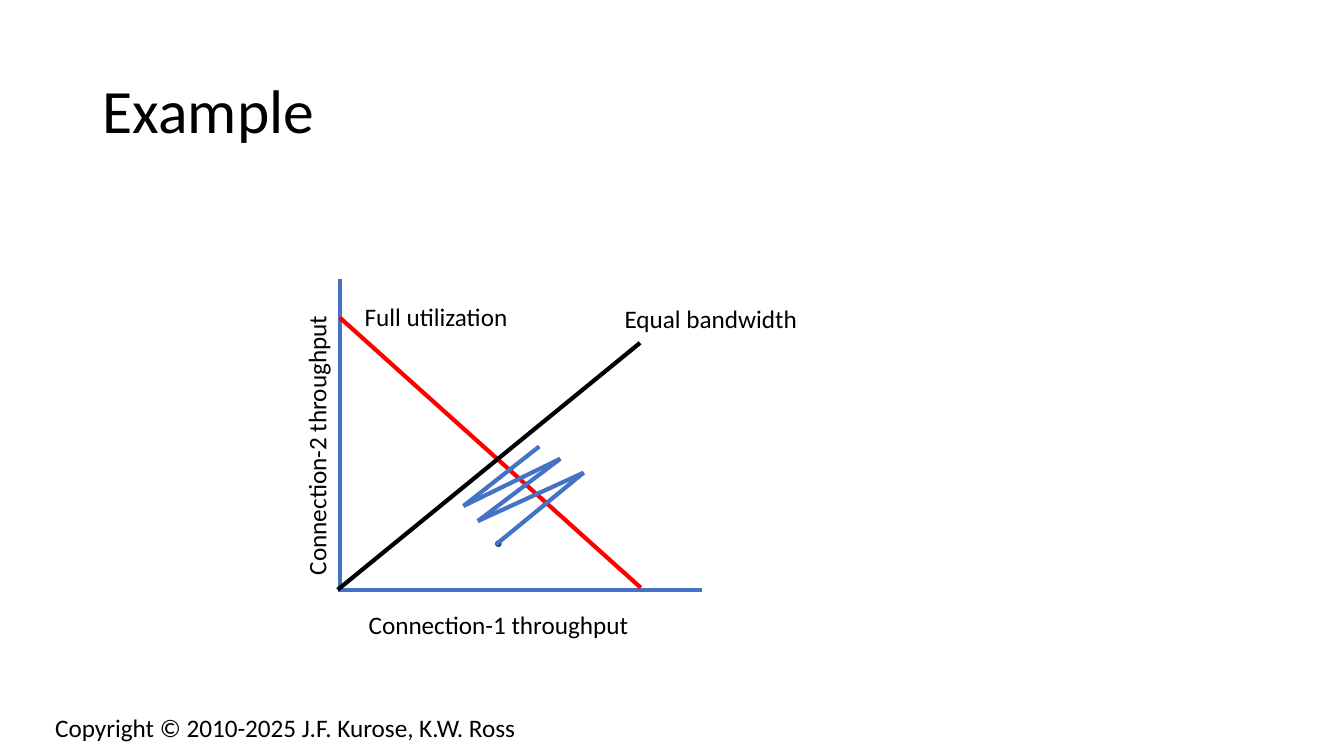
from dataclasses import dataclass
from itertools import pairwise

import pptx
import pptx.dml.color
import pptx.enum.shapes
import pptx.enum.text
import pptx.oxml
import pptx.oxml.ns
import pptx.slide
import pptx.util

Cm = pptx.util.Cm
Color = pptx.dml.color.RGBColor
Anchor = pptx.enum.text.MSO_ANCHOR
Point = tuple[float, float]


@dataclass(frozen=True)
class Theme:
    font: str = "Calibri"
    title_size: float = 44
    label_size: float = 18
    line_width: float = 3
    outline_width: float = 1
    black: Color = Color(0x00, 0x00, 0x00)
    blue: Color = Color(0x44, 0x72, 0xC4)
    navy: Color = Color(0x1E, 0x32, 0x56)
    red: Color = Color(0xFF, 0x00, 0x00)


THEME = Theme()


@dataclass(frozen=True)
class Label:
    text: str
    left: float
    top: float
    width: float
    height: float = 1.02
    size: float = THEME.label_size
    anchor: Anchor = Anchor.TOP
    line_spacing: float = 1.0
    vertical: bool = False


@dataclass(frozen=True)
class Line:
    start: Point
    end: Point
    color: Color


TITLE = Label("Example", 2.34, 1.02, 29.21, 3.68, THEME.title_size, Anchor.MIDDLE, 0.9)
AXIS_LABELS = [
    Label("Connection-1 throughput", 9.04, 15.24, 7.09),
    Label("Connection-2 throughput", 7.21, 7.21, 1.27, 7.54, anchor=Anchor.BOTTOM, vertical=True),
]
LINE_LABELS = [
    Label("Equal bandwidth", 15.49, 7.52, 6.68),
    Label("Full utilization", 8.94, 7.47, 6.68),
]
COPYRIGHT = Label("Copyright © 2010-2025 J.F. Kurose, K.W. Ross", 1.14, 17.83, 12.45)

ORIGIN = (8.51, 14.86)
AXES = [
    Line((8.56, 7.04), (8.56, 14.81), THEME.blue),
    Line(ORIGIN, (17.68, 14.86), THEME.blue),
]
FULL_UTILIZATION = Line((8.56, 8.0), (16.15, 14.81), THEME.red)
EQUAL_BANDWIDTH = Line(ORIGIN, (16.13, 8.64), THEME.black)
TRAJECTORY = [
    (12.5, 13.72), (14.71, 11.91), (12.04, 13.13),
    (14.12, 11.56), (11.68, 12.75), (13.59, 11.25),
]
START_DOT_CENTER = (12.56, 13.7)
START_DOT_SIZE = 0.13


def add_label(slide: pptx.slide.Slide, label: Label) -> None:
    shape = slide.shapes.add_textbox(
        Cm(label.left), Cm(label.top), Cm(label.width), Cm(label.height)
    )
    frame = shape.text_frame
    frame.word_wrap = True
    frame.vertical_anchor = label.anchor
    if label.vertical:
        shape.element.find(".//" + pptx.oxml.ns.qn("a:bodyPr")).set("vert", "vert270")
    paragraph = frame.paragraphs[0]
    paragraph.line_spacing = label.line_spacing
    run = paragraph.add_run()
    run.text = label.text
    run.font.name = THEME.font
    run.font.size = pptx.util.Pt(label.size)
    run.font.color.rgb = THEME.black


def add_line(slide: pptx.slide.Slide, line: Line) -> None:
    connector = slide.shapes.add_connector(
        pptx.enum.shapes.MSO_CONNECTOR.STRAIGHT,
        *(Cm(value) for value in line.start + line.end),
    )
    connector.line.color.rgb = line.color
    connector.line.width = pptx.util.Pt(THEME.line_width)
    properties = connector.element.find(pptx.oxml.ns.qn("p:spPr"))
    properties.append(pptx.oxml.parse_xml(f"<a:effectLst {pptx.oxml.ns.nsdecls('a')}/>"))


def add_dot(slide: pptx.slide.Slide, center: Point, size: float) -> None:
    left, top = (Cm(value - size / 2) for value in center)
    shape = slide.shapes.add_shape(
        pptx.enum.shapes.MSO_SHAPE.OVAL, left, top, Cm(size), Cm(size)
    )
    shape.shadow.inherit = False
    shape.fill.solid()
    shape.fill.fore_color.rgb = THEME.blue
    shape.line.color.rgb = THEME.navy
    shape.line.width = pptx.util.Pt(THEME.outline_width)


def main() -> None:
    presentation = pptx.Presentation()
    presentation.slide_width = Cm(33.87)
    presentation.slide_height = Cm(19.05)
    slide = presentation.slides.add_slide(presentation.slide_layouts[6])

    add_label(slide, TITLE)
    for line in [*AXES, FULL_UTILIZATION]:
        add_line(slide, line)
    for label in AXIS_LABELS:
        add_label(slide, label)
    add_dot(slide, START_DOT_CENTER, START_DOT_SIZE)
    add_line(slide, EQUAL_BANDWIDTH)
    for start, end in pairwise(TRAJECTORY):
        add_line(slide, Line(start, end, THEME.blue))
    for label in [*LINE_LABELS, COPYRIGHT]:
        add_label(slide, label)

    presentation.save("out.pptx")


if __name__ == "__main__":
    main()
